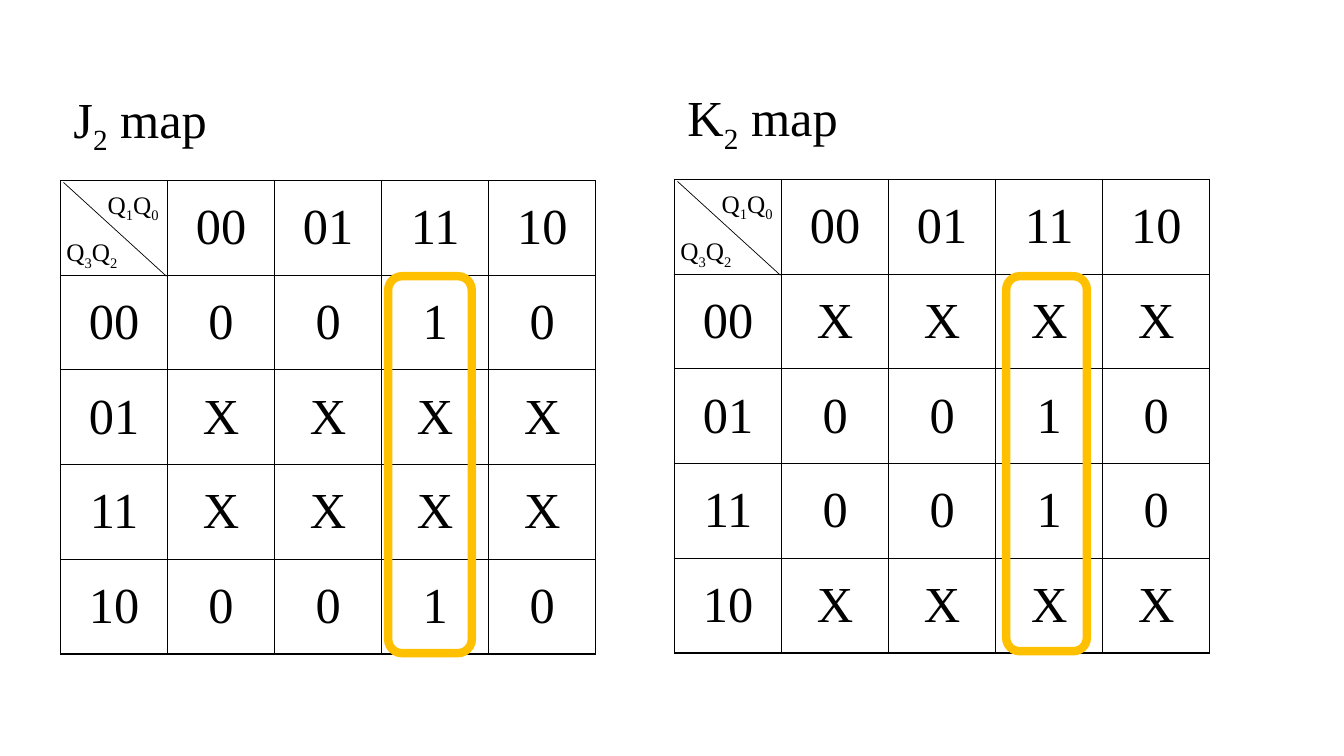
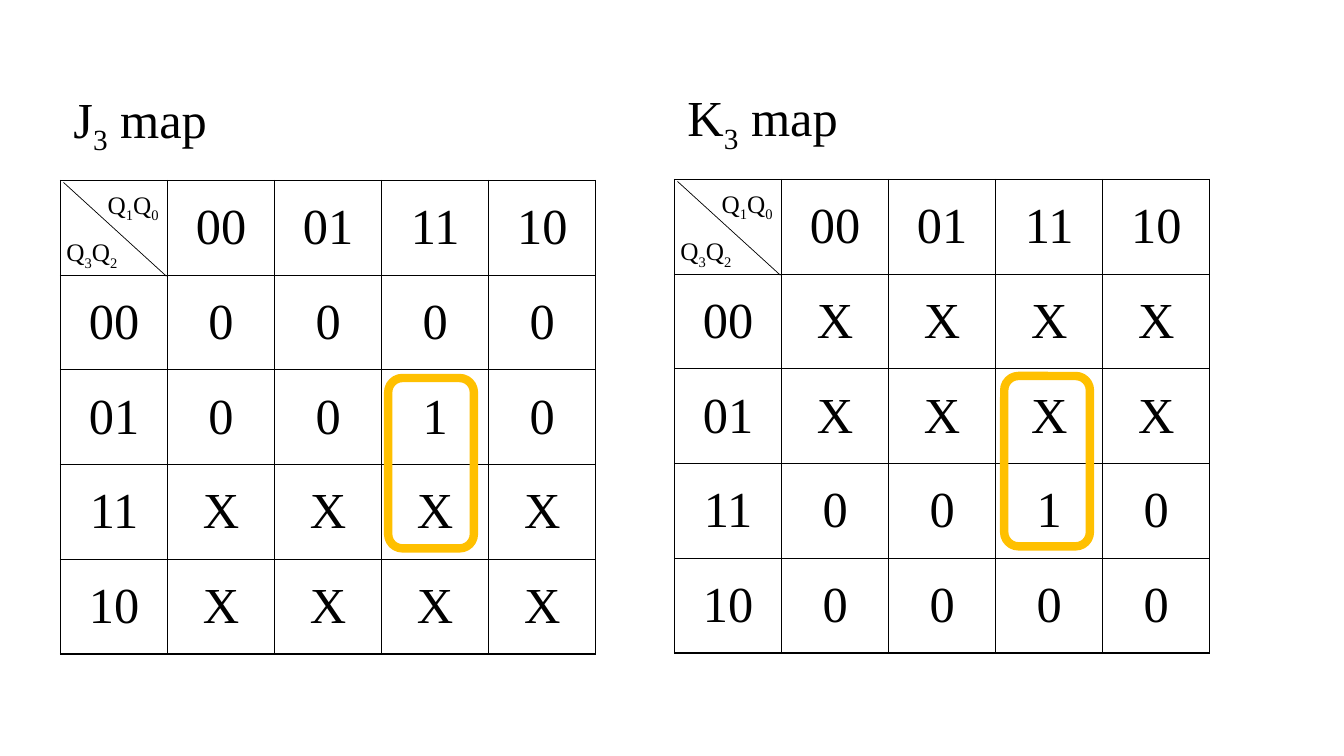
from itertools import groupby

from lxml.etree import SubElement
from pptx import Presentation
from pptx.dml.color import RGBColor
from pptx.enum.shapes import MSO_CONNECTOR, MSO_SHAPE
from pptx.enum.text import MSO_ANCHOR, MSO_AUTO_SIZE, PP_ALIGN
from pptx.oxml import parse_xml
from pptx.oxml.ns import nsdecls, qn
from pptx.util import Pt

PX = 9144  # 100 px to the inch
FONT = "Times New Roman"
BLACK, AMBER = "000000", "FFC000"
TABLE_WIDTH, ROW_HEIGHT = 531, 94
CODES = ["00", "01", "11", "10"]  # Gray code order
MAP_ORIGINS = [(60, 179), (669, 178)]

# For each page: title, title width, rows of values, frame of the marked group
PAGES = [
    [
        ("J2 map", 156, ["0010", "XXXX", "XXXX", "0010"], (385, 274, 83, 374)),
        ("K2 map", 173, ["XXXX", "0010", "0010", "XXXX"], (998, 274, 80, 372)),
    ],
    [
        ("J3 map", 156, ["0000", "0010", "XXXX", "XXXX"], (385, 375, 85, 169)),
        ("K3 map", 173, ["XXXX", "XXXX", "0010", "0000"], (996, 373, 85, 169)),
    ],
]


def style_text(paragraph, size):
    font = paragraph.font
    font.name, font.size = FONT, Pt(size)
    font.color.rgb = RGBColor.from_string(BLACK)


def add_label(page, text, left, top, width, height, size):
    """Add a one-line text box in which every digit is a subscript."""
    box = page.shapes.add_textbox(left * PX, top * PX, width * PX, height * PX)
    box.text_frame.word_wrap = False
    box.text_frame.auto_size = MSO_AUTO_SIZE.SHAPE_TO_FIT_TEXT
    para = box.text_frame.paragraphs[0]
    style_text(para, size)
    for is_digit, letters in groupby(text, str.isdigit):
        span = para.add_run()
        span.text = "".join(letters)
        if is_digit:
            span._r.get_or_add_rPr().set("baseline", "-25000")


deck = Presentation()
deck.slide_width, deck.slide_height = 1333 * PX, 750 * PX

for maps in PAGES:
    page = deck.slides.add_slide(deck.slide_layouts[6])
    for (left, top), (title, title_width, values, frame) in zip(MAP_ORIGINS, maps):
        grid = [["", *CODES]] + [[code, *row] for code, row in zip(CODES, values)]
        size = len(grid)
        table = page.shapes.add_table(
            size, size, left * PX, top * PX, TABLE_WIDTH * PX, size * ROW_HEIGHT * PX
        ).table
        table.first_row = table.horz_banding = False
        for column in table.columns:
            column.width = TABLE_WIDTH * PX // size
        for row, texts in zip(table.rows, grid):
            row.height = ROW_HEIGHT * PX
            for cell, text in zip(row.cells, texts):
                cell.margin_left = cell.margin_right = 8 * PX
                cell.margin_top = cell.margin_bottom = 4 * PX
                cell.vertical_anchor = MSO_ANCHOR.MIDDLE
                for side in "LRTB":
                    cell._tc.get_or_add_tcPr().append(parse_xml(
                        f'<a:ln{side} {nsdecls("a")} w="{Pt(1)}"><a:solidFill>'
                        f'<a:srgbClr val="{BLACK}"/></a:solidFill></a:ln{side}>'
                    ))
                cell.fill.background()
                if text:
                    cell.text = text
                    para = cell.text_frame.paragraphs[0]
                    para.alignment = PP_ALIGN.CENTER
                    style_text(para, 36)

        add_label(page, title, left + 3, top - 97, title_width, 71, 36)
        diagonal = page.shapes.add_connector(
            MSO_CONNECTOR.STRAIGHT,
            (left + 3) * PX, (top + 2) * PX, (left + 105) * PX, (top + 95) * PX,
        )
        diagonal.line.width = Pt(0.5)
        diagonal.line.color.rgb = RGBColor.from_string(BLACK)
        SubElement(diagonal._element.spPr, qn("a:effectLst"))
        add_label(page, "Q3Q2", left - 4, top + 51, 73, 40, 18)
        add_label(page, "Q1Q0", left + 37, top + 4, 73, 40, 18)

        group = page.shapes.add_shape(
            MSO_SHAPE.ROUNDED_RECTANGLE, *(length * PX for length in frame)
        )
        group.shadow.inherit = False
        group.fill.background()
        group.line.width = Pt(6)
        group.line.color.rgb = RGBColor.from_string(AMBER)

deck.save("out.pptx")
